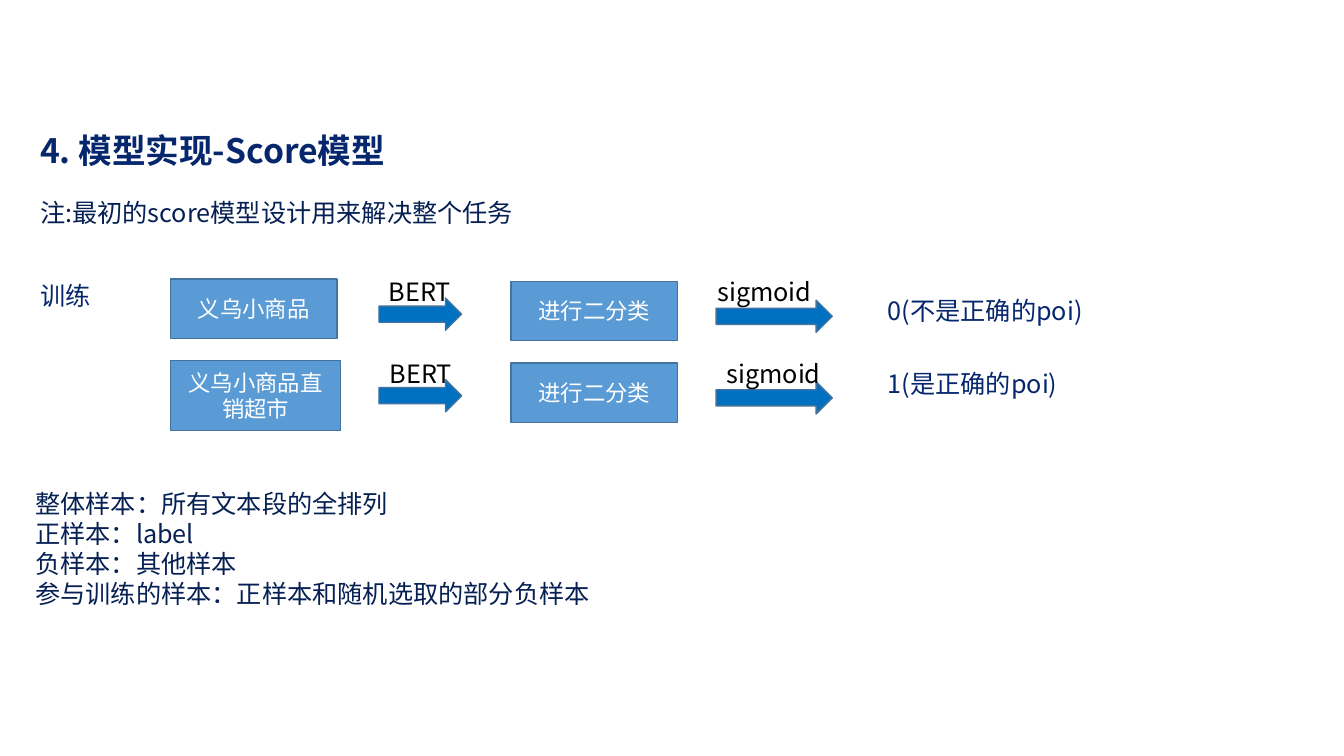
from dataclasses import dataclass
from lxml import etree
from pptx import Presentation
from pptx import util as u
from pptx.dml import color as c
from pptx.enum import shapes, text
from pptx.oxml import ns

Pt = u.Pt


@dataclass(frozen=True)
class Theme:
    title: str = "06276D"
    body: str = "062054"
    black: str = "000000"
    white: str = "FFFFFF"
    box: str = "5B9BD5"
    edge: str = "43739E"
    arrow: str = "0070C0"
    font: str = "Noto Sans CJK SC"
    mono: str = "Noto Sans Mono"
    big: int = 24
    mid: int = 18
    small: int = 16


def write(frame, lines, size, color, font, bold=False, align=None):
    for i, line in enumerate(lines):
        para = frame.paragraphs[0] if i == 0 else frame.add_paragraph()
        para.alignment = align
        for part in [line] if isinstance(line, str) else line:
            words, face = (part, font) if isinstance(part, str) else part
            run = para.add_run()
            run.text = words
            run.font.size, run.font.bold, run.font.name = Pt(size), bold, face
            run.font.color.rgb = c.RGBColor.from_string(color)
            east = etree.SubElement(run.font._element, ns.qn("a:ea"))
            east.set("typeface", face)


class Slide:
    """Draw styled elements on the current slide, measured in points."""

    def __init__(self, page, theme):
        self.page, self.theme = page, theme

    def label(self, lines, x, y, w, h=29, size=None, color=None, bold=False, inset=None, wrap=True):
        t = self.theme
        frame = self.page.shapes.add_textbox(Pt(x), Pt(y), Pt(w), Pt(h)).text_frame
        frame.word_wrap = wrap
        frame.auto_size = text.MSO_AUTO_SIZE.SHAPE_TO_FIT_TEXT
        if inset is not None:
            frame.margin_left = frame.margin_right = Pt(inset)
            frame.margin_top = frame.margin_bottom = Pt(inset)
        write(frame, lines, size or t.mid, color or t.title, t.font, bold)

    def shape(self, kind, x, y, w, h, fill):
        item = self.page.shapes.add_shape(kind, Pt(x), Pt(y), Pt(w), Pt(h))
        item.shadow.inherit = False
        item.fill.solid()
        item.fill.fore_color.rgb = c.RGBColor.from_string(fill)
        item.line.color.rgb = c.RGBColor.from_string(self.theme.edge)
        item.line.width = Pt(1)
        return item

    def box(self, line, x, y, w=119, h=42.5):
        t = self.theme
        frame = self.shape(shapes.MSO_SHAPE.RECTANGLE, x, y, w, h, t.box).text_frame
        frame.word_wrap = True
        frame.vertical_anchor = text.MSO_ANCHOR.MIDDLE
        write(frame, [line], t.small, t.white, t.font, align=text.PP_ALIGN.CENTER)

    def arrow(self, x, y, w, h=23):
        self.shape(shapes.MSO_SHAPE.RIGHT_ARROW, x, y, w, h, self.theme.arrow)


theme = Theme()
deck = Presentation()
deck.slide_width, deck.slide_height = Pt(960), Pt(540)
slide = Slide(deck.slides.add_slide(deck.slide_layouts[6]), theme)

left = 21.6
slide.label(["4. 模型实现-Score模型"], left, 89.3, 459, 36, size=theme.big, bold=True)
slide.label(["注:最初的score模型设计用来解决整个任务"], left, 137.5, 753, color=theme.body)
slide.label(["训练"], left, 196.6, 201)

pitch = 58.3
rows = [
    ("义乌小商品", 119, 42.5, 270.7, 505.4, "0(不是正确的poi)", 207.4),
    (["义乌小商品", ("直销超市", theme.mono)], 121.7, 49.7, 271.4, 511.9, "1(是正确的poi)", 259.2),
]
for i, (name, wide, high, bert, sig, result, level) in enumerate(rows):
    top = 199.4 + i * pitch
    slide.box(name, 121.7, top, wide, high)
    slide.arrow(270.7, top + 13.5, 59)
    slide.label(["BERT"], bert, top - 5.5, 59, color=theme.black)
    slide.box("进行二分类", 365, top + 1.5)
    slide.arrow(511.5, top + 15, 83)
    slide.label(["sigmoid"], sig, top - 5.5, 83, color=theme.black)
    slide.label([result], 627.1, level, 201)

samples = ["整体样本：所有文本段的全排列", "正样本：label", "负样本：其他样本",
           "参与训练的样本：正样本和随机选取的部分负样本"]
slide.label(samples, left, 344.9, 406.8, 94.3, color=theme.body, inset=3.6, wrap=False)

deck.save("out.pptx")
